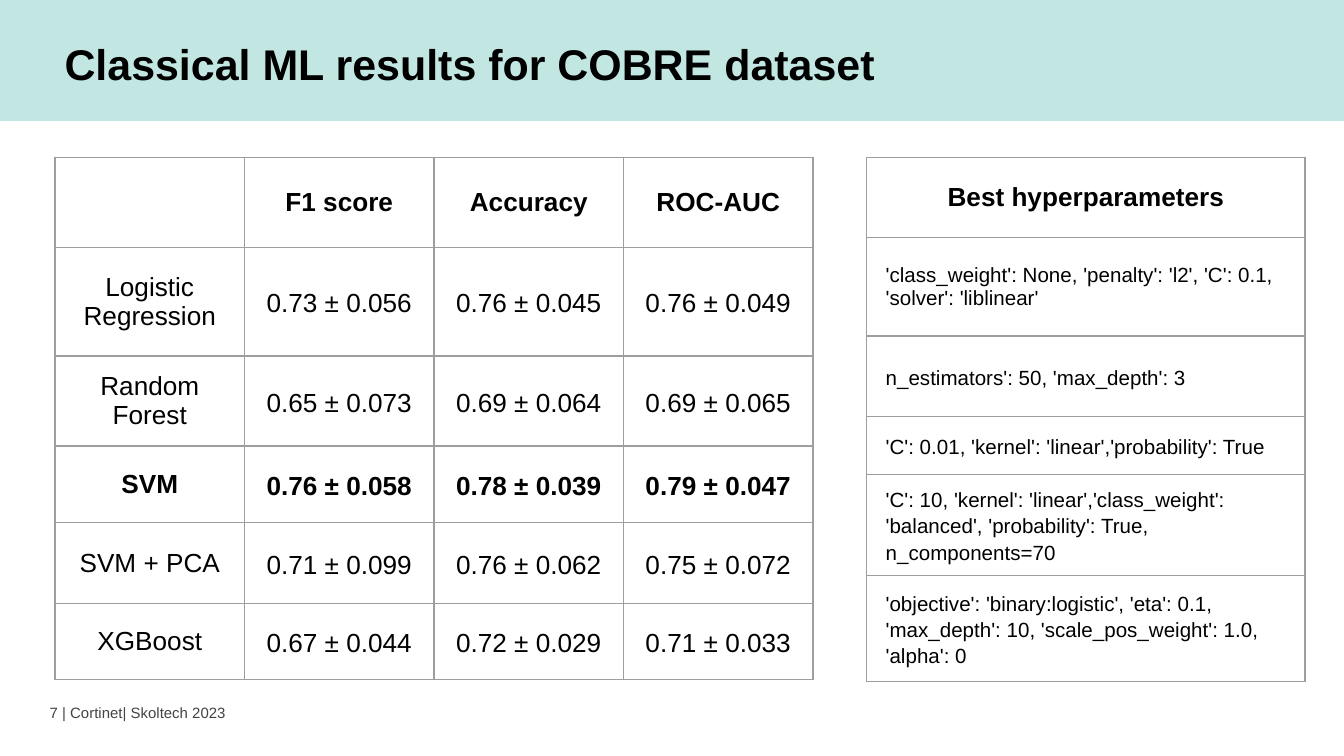
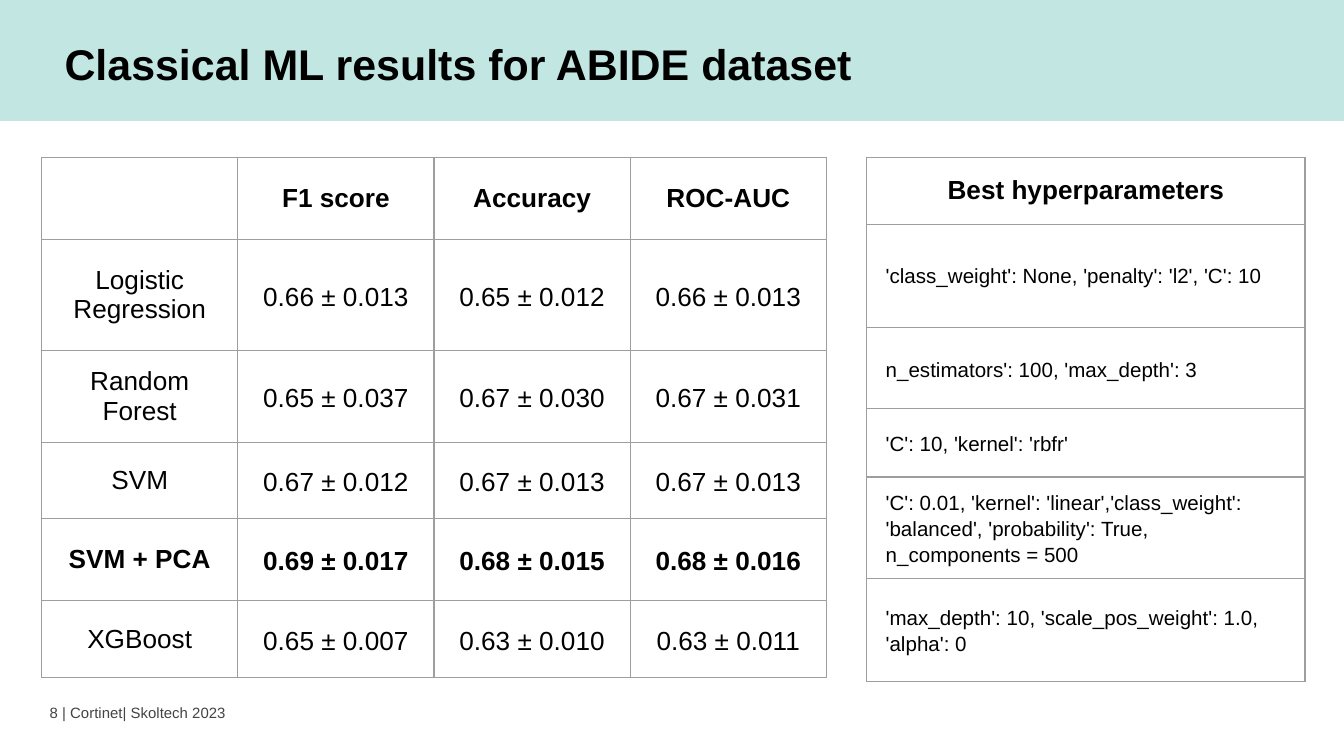
from dataclasses import dataclass
from typing import Optional

from lxml.etree import SubElement
from pptx import Presentation
from pptx.dml.color import RGBColor
from pptx.enum.shapes import MSO_SHAPE
from pptx.enum.text import MSO_ANCHOR, MSO_AUTO_SIZE, PP_ALIGN
from pptx.oxml.ns import qn
from pptx.util import Inches, Pt

COLORS = {"band": "C2E6E2", "text": "000000", "footer": "434343", "border": "9E9E9E"}
FONT = "Arial"
SLIDE_WIDTH = Inches(10)
SLIDE_HEIGHT = SLIDE_WIDTH * 9 // 16
TABLE_TOP = 1.17
LABEL_INSETS = (0.1, 0.1)
VALUE_INSETS = (0.14, 0.06)
METRICS = ["F1 score", "Accuracy", "ROC-AUC"]
MODELS = ["Logistic Regression", "Random Forest", "SVM", "SVM + PCA", "XGBoost"]


@dataclass
class Results:
    page: int
    dataset: str
    title_width: float
    scores_left: float
    score_column: float
    score_rows: list[float]
    scores: list[list[str]]
    best_model: str
    parameter_rows: list[float]
    parameters: list[str]


RESULTS = [
    Results(
        7, "COBRE", 6.51, 0.41, 1.41,
        [0.67, 0.81, 0.67, 0.57, 0.6, 0.57],
        [
            ["0.73 ± 0.056", "0.76 ± 0.045", "0.76 ± 0.049"],
            ["0.65 ± 0.073", "0.69 ± 0.064", "0.69 ± 0.065"],
            ["0.76 ± 0.058", "0.78 ± 0.039", "0.79 ± 0.047"],
            ["0.71 ± 0.099", "0.76 ± 0.062", "0.75 ± 0.072"],
            ["0.67 ± 0.044", "0.72 ± 0.029", "0.71 ± 0.033"],
        ],
        "SVM",
        [0.6, 0.73, 0.6, 0.43, 0.72, 0.79],
        [
            "'class_weight': None, 'penalty': 'l2', 'C': 0.1, 'solver': 'liblinear'",
            "n_estimators': 50, 'max_depth': 3",
            "'C': 0.01, 'kernel': 'linear','probability': True",
            "'C': 10, 'kernel': 'linear','class_weight': 'balanced', "
            "'probability': True, n_components=70",
            "'objective': 'binary:logistic', 'eta': 0.1, 'max_depth': 10, "
            "'scale_pos_weight': 1.0, 'alpha': 0",
        ],
    ),
    Results(
        8, "ABIDE", 6.11, 0.31, 1.46,
        [0.61, 0.83, 0.68, 0.57, 0.61, 0.57],
        [
            ["0.66 ± 0.013", "0.65 ± 0.012", "0.66 ± 0.013"],
            ["0.65 ± 0.037", "0.67 ± 0.030", "0.67 ± 0.031"],
            ["0.67 ± 0.012", "0.67 ± 0.013", "0.67 ± 0.013"],
            ["0.69 ± 0.017", "0.68 ± 0.015", "0.68 ± 0.016"],
            ["0.65 ± 0.007", "0.63 ± 0.010", "0.63 ± 0.011"],
        ],
        "SVM + PCA",
        [0.5, 0.77, 0.6, 0.51, 0.72, 0.77],
        [
            "'class_weight': None, 'penalty': 'l2', 'C': 10",
            "n_estimators': 100, 'max_depth': 3",
            "'C': 10, 'kernel': 'rbfr'",
            "'C': 0.01, 'kernel': 'linear','class_weight': 'balanced', "
            "'probability': True, n_components = 500",
            "'max_depth': 10, 'scale_pos_weight': 1.0, 'alpha': 0",
        ],
    ),
]


def write(frame, text: str, *, size: float = 14, bold: bool = False,
          color: str = "text", align=PP_ALIGN.LEFT,
          line_spacing: Optional[float] = None, after: float = 0) -> None:
    paragraph = frame.paragraphs[0]
    paragraph.alignment = align
    paragraph.space_after = Pt(after)
    if line_spacing:
        paragraph.line_spacing = line_spacing
    run = paragraph.add_run()
    run.text = text
    run.font.name = FONT
    run.font.size = Pt(size)
    run.font.bold = bold
    run.font.color.rgb = RGBColor.from_string(COLORS[color])


def set_insets(box, across: float, down: float) -> None:
    """Works for text frames and table cells alike."""
    box.margin_left = box.margin_right = Inches(across)
    box.margin_top = box.margin_bottom = Inches(down)


def add_text(slide, text: str, left: float, top: float, width: float, height: float,
             insets: tuple[float, float], anchor=MSO_ANCHOR.TOP, **style):
    frame = slide.shapes.add_textbox(
        Inches(left), Inches(top), Inches(width), Inches(height)).text_frame
    frame.word_wrap = True
    frame.vertical_anchor = anchor
    set_insets(frame, *insets)
    write(frame, text, **style)
    return frame


def add_borders(cell) -> None:
    properties = cell._tc.get_or_add_tcPr()
    for position, side in enumerate(("lnL", "lnR", "lnT", "lnB")):
        border = SubElement(properties, qn(f"a:{side}"), w=str(Pt(0.75)))
        fill = SubElement(border, qn("a:solidFill"))
        SubElement(fill, qn("a:srgbClr"), val=COLORS["border"])
        properties.insert(position, border)  # borders come before the cell fill


def add_grid(slide, left: float, columns: list[float], rows: list[float]):
    table = slide.shapes.add_table(
        len(rows), len(columns), Inches(left), Inches(TABLE_TOP),
        Inches(sum(columns)), Inches(sum(rows))).table
    table.first_row = table.horz_banding = False
    for column, width in zip(table.columns, columns):
        column.width = Inches(width)
    for row, height in zip(table.rows, rows):
        row.height = Inches(height)
    for cell in table.iter_cells():
        cell.fill.background()
        add_borders(cell)
    return table


def fill_cell(cell, text: str, insets: tuple[float, float], **style) -> None:
    cell.vertical_anchor = MSO_ANCHOR.MIDDLE
    set_insets(cell, *insets)
    write(cell.text_frame, text, **style)


def add_scores(slide, results: Results) -> None:
    table = add_grid(slide, results.scores_left,
                     [results.score_column] * (len(METRICS) + 1), results.score_rows)
    for column, metric in enumerate(METRICS, 1):
        fill_cell(table.cell(0, column), metric, LABEL_INSETS,
                  bold=True, align=PP_ALIGN.CENTER)
    for row, (model, scores) in enumerate(zip(MODELS, results.scores), 1):
        best = model == results.best_model
        fill_cell(table.cell(row, 0), model, LABEL_INSETS,
                  bold=best, align=PP_ALIGN.CENTER)
        for column, score in enumerate(scores, 1):
            fill_cell(table.cell(row, column), score, VALUE_INSETS, bold=best,
                      align=PP_ALIGN.CENTER, line_spacing=1.15, after=12)


def add_parameters(slide, results: Results) -> None:
    table = add_grid(slide, 6.45, [3.26], results.parameter_rows)
    fill_cell(table.cell(0, 0), "Best hyperparameters", LABEL_INSETS,
              bold=True, align=PP_ALIGN.CENTER)
    for row, parameters in enumerate(results.parameters, 1):
        fill_cell(table.cell(row, 0), parameters, VALUE_INSETS, size=11,
                  line_spacing=None if row == 1 else 1.15, after=12)


def add_frame(slide, results: Results) -> None:
    # Title band
    band = slide.shapes.add_shape(
        MSO_SHAPE.RECTANGLE, 0, 0, SLIDE_WIDTH, Inches(0.9))
    band.shadow.inherit = False
    band.fill.solid()
    band.fill.fore_color.rgb = RGBColor.from_string(COLORS["band"])
    band.line.fill.background()
    # Footer
    add_text(slide, f"{results.page} | Cortinet| Skoltech 2023", 0.31, 5.21, 3.79, 0.18,
             (0.06, 0.03), MSO_ANCHOR.MIDDLE, size=8, color="footer")
    # Title
    title = add_text(slide, f"Classical ML results for {results.dataset} dataset",
                     0.41, 0.24, results.title_width, 0.46, (0.07, 0.04),
                     size=23, bold=True)
    title.auto_size = MSO_AUTO_SIZE.SHAPE_TO_FIT_TEXT


def main() -> None:
    presentation = Presentation()
    presentation.slide_width = SLIDE_WIDTH
    presentation.slide_height = SLIDE_HEIGHT
    for results in RESULTS:
        slide = presentation.slides.add_slide(presentation.slide_layouts[6])
        add_frame(slide, results)
        add_scores(slide, results)
        add_parameters(slide, results)
    presentation.save("out.pptx")


if __name__ == "__main__":
    main()
